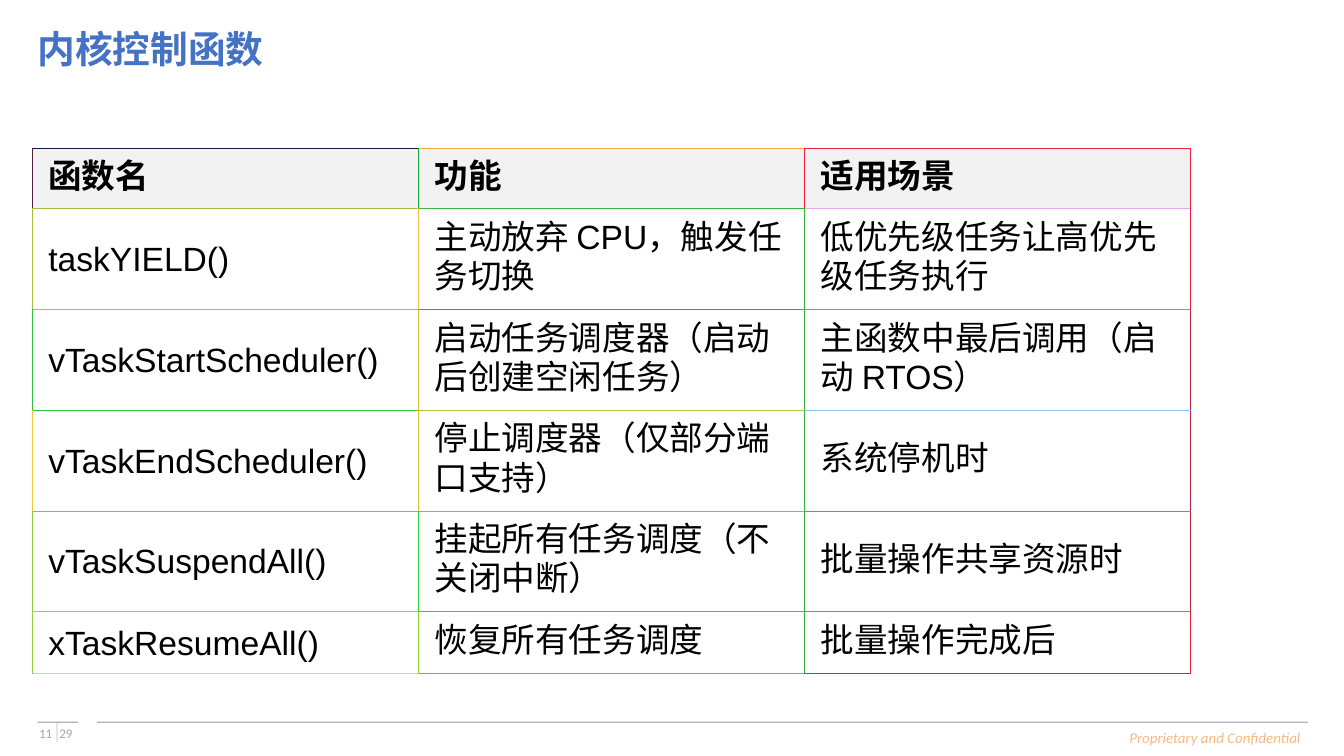
from lxml.etree import SubElement
from pptx import Presentation
from pptx.dml.color import RGBColor
from pptx.enum.shapes import MSO_SHAPE
from pptx.enum.text import MSO_ANCHOR, PP_ALIGN
from pptx.oxml.ns import qn
from pptx.util import Inches, Pt

ROWS = [
    ("函数名", "功能", "适用场景"),
    ("taskYIELD()", "主动放弃 CPU，触发任务切换", "低优先级任务让高优先级任务执行"),
    ("vTaskStartScheduler()", "启动任务调度器（启动后创建空闲任务）", "主函数中最后调用（启动 RTOS）"),
    ("vTaskEndScheduler()", "停止调度器（仅部分端口支持）", "系统停机时"),
    ("vTaskSuspendAll()", "挂起所有任务调度（不关闭中断）", "批量操作共享资源时"),
    ("xTaskResumeAll()", "恢复所有任务调度", "批量操作完成后"),
]
ROW_HEIGHTS = [0.45, 0.75, 0.75, 0.75, 0.75, 0.46]
HORIZONTAL_EDGES = [
    ("101C3F", "F0AA3E", "F01D3F"),
    ("B0B53E", "30B63E", "E0AAF2"),
    ("B0BD3E", "10C03E", "10C3F2"),
    ("30C73E", "B0CA3E", "90C4F2"),
    ("70CC3E", "70CC3E", "20ADBC"),
    ("90D53E", "10DA3E", "30A9BC"),
    ("F0D53E", "30DA3E", "F01C3F"),
]
VERTICAL_EDGES = [
    ("50213F", "10A63E", "F01D3F", "F01D3F"),
    ("B0B83E", "F0BD3E", "30B23E", "F01C3F"),
    ("30C23E", "D0BC3E", "30B23E", "B0213F"),
    ("F0CA3E", "D0C53E", "30B23E", "B0213F"),
    ("90CC3E", "30CD3E", "30B23E", "B0213F"),
    ("90D33E", "90D53E", "30B23E", "F0213F"),
]


def color(value):
    """Turn a hex string into a colour."""
    return RGBColor.from_string(value)


def set_margins(target, horizontal, vertical):
    """Set the inner margins of a cell or text frame."""
    target.margin_left = target.margin_right = Inches(horizontal)
    target.margin_top = target.margin_bottom = Inches(vertical)


def style_font(para, size, value, name="Arial", bold=False, italic=False):
    """Set the font of a paragraph."""
    font = para.font
    font.size, font.name, font.bold, font.italic = Pt(size), name, bold, italic
    font.color.rgb = color(value)


def set_borders(cell, edges):
    """Draw the left, right, top and bottom borders of a cell."""
    properties = cell._tc.get_or_add_tcPr()
    for position, (side, value) in enumerate(zip("LRTB", edges)):
        line = SubElement(properties, qn(f"a:ln{side}"), w=str(Pt(0.33)))
        fill = SubElement(line, qn("a:solidFill"))
        SubElement(fill, qn("a:srgbClr"), val=value)
        properties.remove(line)
        properties.insert(position, line)


def add_title(page, left, top, width, height):
    """Place and format the slide title."""
    title = page.shapes.title
    title.left, title.top = Inches(left), Inches(top)
    title.width, title.height = Inches(width), Inches(height)
    frame = title.text_frame
    frame.text = "内核控制函数"
    frame.vertical_anchor = MSO_ANCHOR.MIDDLE
    set_margins(frame, 0.04, 0.04)
    para = frame.paragraphs[0]
    para.alignment = PP_ALIGN.LEFT
    para.line_spacing = 0.9
    style_font(para, 20.2, "4472C4", bold=True)


def add_function_table(page, left, top, width):
    """Build the table of kernel control functions."""
    columns = len(ROWS[0])
    table = page.shapes.add_table(
        len(ROWS), columns, Inches(left), Inches(top),
        Inches(width), Inches(sum(ROW_HEIGHTS))).table
    for r, texts in enumerate(ROWS):
        table.rows[r].height = Inches(ROW_HEIGHTS[r])
        for c, text in enumerate(texts):
            cell = table.cell(r, c)
            cell.text = text
            cell.vertical_anchor = MSO_ANCHOR.MIDDLE
            set_margins(cell, 0.12, 0.08)
            cell.fill.solid()
            cell.fill.fore_color.rgb = color("FFFFFF" if r else "F2F2F2")
            set_borders(cell, (VERTICAL_EDGES[r][c], VERTICAL_EDGES[r][c + 1],
                               HORIZONTAL_EDGES[r][c], HORIZONTAL_EDGES[r + 1][c]))
            para = cell.text_frame.paragraphs[0]
            para.line_spacing = Pt(21)
            style_font(para, 18, "000000", bold=r == 0)


def add_bar(page, left, top, width, height, value):
    """Add a thin filled rule."""
    bar = page.shapes.add_shape(MSO_SHAPE.RECTANGLE, Inches(left), Inches(top),
                                Inches(width), Inches(height))
    bar.shadow.inherit = False
    bar.fill.solid()
    bar.fill.fore_color.rgb = color(value)
    bar.line.fill.background()


def add_label(page, text, left, top, width, height, margin, align):
    """Add a one-line footer text and return its paragraph."""
    box = page.shapes.add_textbox(Inches(left), Inches(top), Inches(width), Inches(height))
    frame = box.text_frame
    frame.word_wrap = False
    frame.vertical_anchor = MSO_ANCHOR.MIDDLE
    set_margins(frame, margin, margin)
    para = frame.paragraphs[0]
    para.text = text
    para.alignment = align
    return para


def add_footer(page, left, top, width):
    """Place the rules, page numbers and confidentiality note."""
    add_bar(page, left, top, 0.3, 0.01, "B2B2B2")
    add_bar(page, left + 0.44, top, width - 0.44, 0.01, "B2B2B2")
    add_bar(page, left + 0.14, top + 0.01, 0.01, 0.14, "D9D9D9")
    for offset, number in ((-0.01, "11"), (0.14, "29")):
        para = add_label(page, number, left + offset, top + 0.01, 0.14, 0.16, 0, PP_ALIGN.CENTER)
        style_font(para, 7, "A6A6A6", "Calibri")
    para = add_label(page, "Proprietary and Confidential", left + width - 1.41, top + 0.01,
                     1.4, 0.21, 0.04, PP_ALIGN.RIGHT)
    style_font(para, 8, "F6B982", "Calibri", italic=True)


def main():
    """Build and save the deck."""
    deck = Presentation()
    deck.slide_width = Inches(10)
    deck.slide_height = deck.slide_width * 9 // 16
    page = deck.slides.add_slide(deck.slide_layouts[5])
    add_footer(page, 0.28, 5.37, 9.45)
    add_title(page, 0.24, 0.13, 9.56, 0.51)
    add_function_table(page, 0.24, 1.1, 8.62)
    deck.save("out.pptx")


if __name__ == "__main__":
    main()
